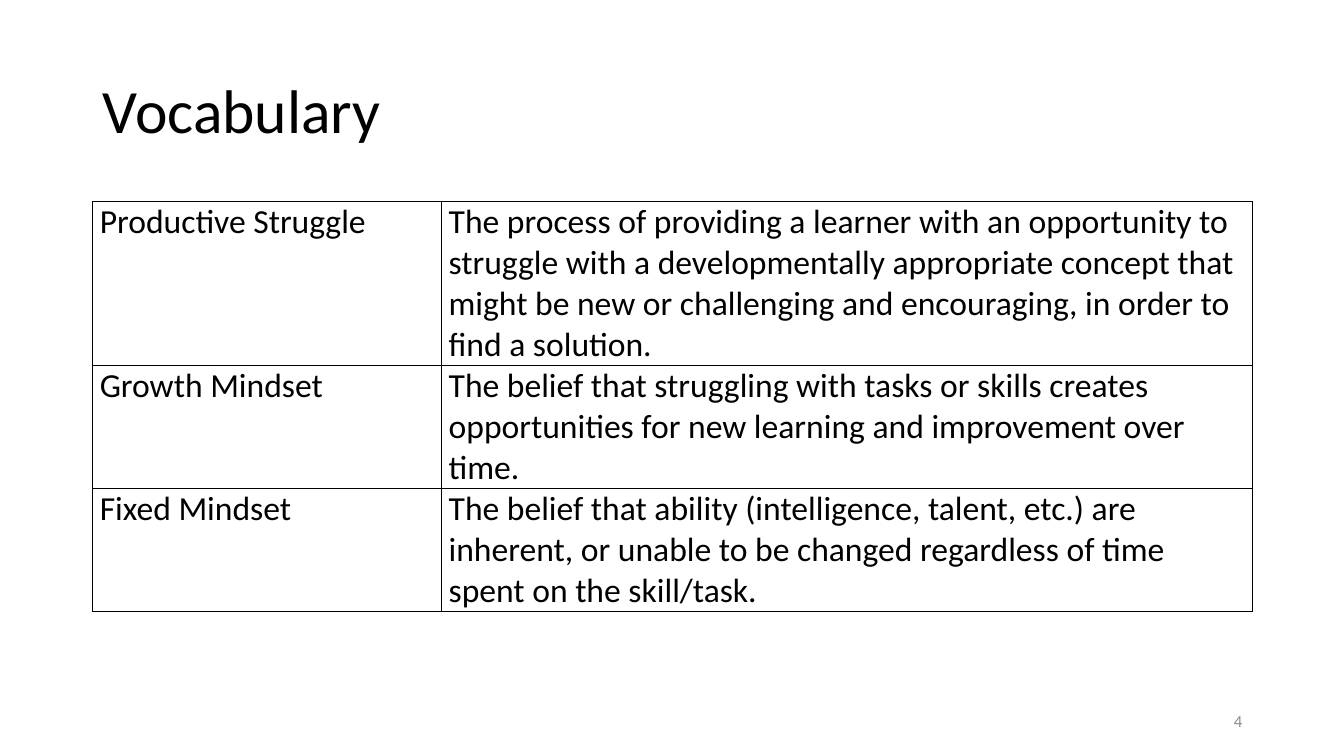
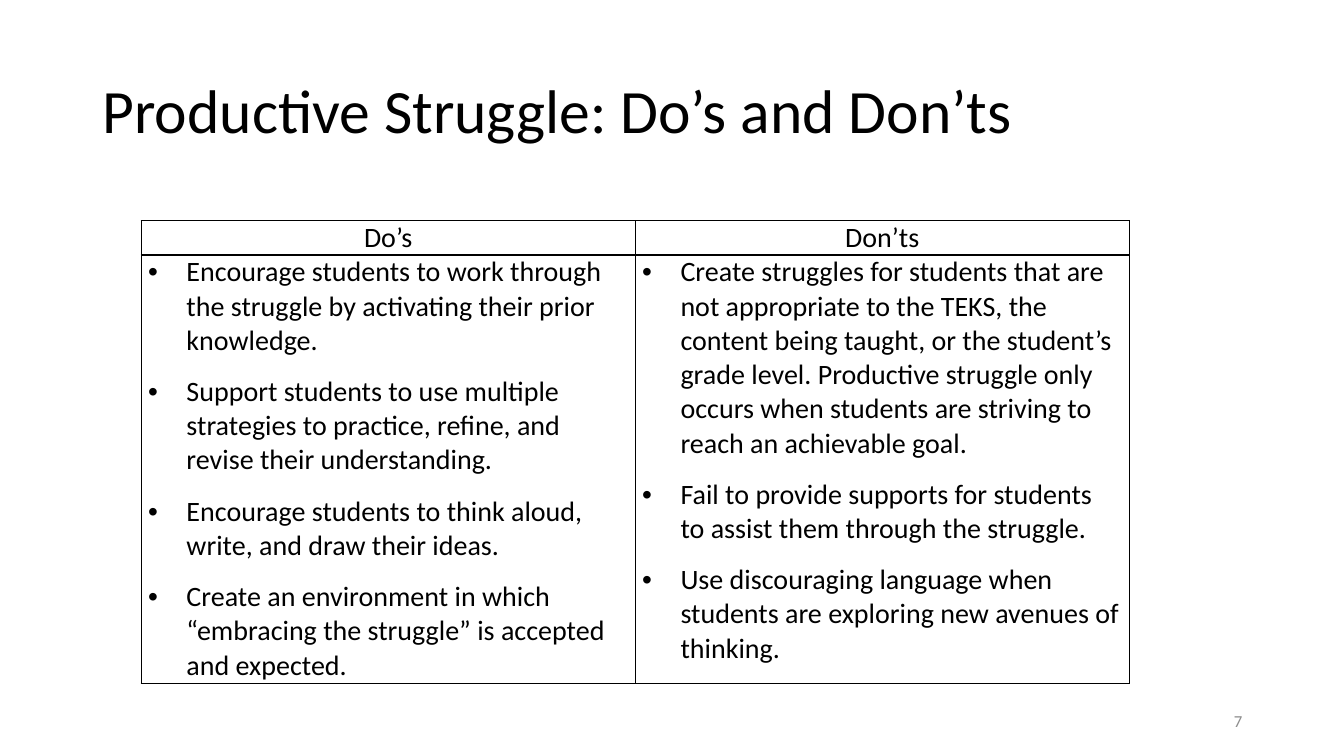
"""Build two slides on productive struggle, each a title, a bordered table and a page number."""
from dataclasses import dataclass

from lxml.etree import SubElement
from pptx import Presentation
from pptx.dml.color import RGBColor
from pptx.enum.text import MSO_ANCHOR, PP_ALIGN
from pptx.oxml.ns import qn
from pptx.util import Inches, Pt


@dataclass(frozen=True)
class Theme:
    font: str = "Calibri"
    ink: str = "000000"
    muted: str = "8C8C8C"
    title_size: int = 44
    number_size: int = 12
    border_width: int = 1
    paragraph_gap: int = 6
    cell_inset: float = 0.07
    bullet_indent: float = 0.38


THEME = Theme()
TITLE_BOX = (0.92, 0.4, 11.5, 1.45)
NUMBER_BOX = (9.42, 6.95, 3, 0.4)

SLIDES = [
    {
        "title": "Vocabulary",
        "number": "4",
        "origin": (0.92, 2),
        "columns": [3.46, 8.04],
        "row_heights": [1.63, 1.22, 1.22],
        "size": 24,
        "has_header": False,
        "rows": [
            ["Productive Struggle",
             "The process of providing a learner with an opportunity to struggle with a "
             "developmentally appropriate concept that might be new or challenging and "
             "encouraging, in order to find a solution."],
            ["Growth Mindset",
             "The belief that struggling with tasks or skills creates opportunities for "
             "new learning and improvement over time."],
            ["Fixed Mindset",
             "The belief that ability (intelligence, talent, etc.) are inherent, or unable "
             "to be changed regardless of time spent on the skill/task."],
        ],
    },
    {
        "title": "Productive Struggle: Do’s and Don’ts",
        "number": "7",
        "origin": (1.4, 2.19),
        "columns": [4.9, 4.9],
        "row_heights": [0.34, 4.25],
        "size": 20,
        "has_header": True,
        "rows": [
            ["Do’s", "Don’ts"],
            [
                ["Encourage students to work through the struggle by activating their "
                 "prior knowledge.",
                 "Support students to use multiple strategies to practice, refine, and "
                 "revise their understanding.",
                 "Encourage students to think aloud, write, and draw their ideas.",
                 "Create an environment in which “embracing the struggle” is accepted "
                 "and expected."],
                ["Create struggles for students that are not appropriate to the TEKS, the "
                 "content being taught, or the student’s grade level. Productive struggle "
                 "only occurs when students are striving to reach an achievable goal.",
                 "Fail to provide supports for students to assist them through the struggle.",
                 "Use discouraging language when students are exploring new avenues of "
                 "thinking."],
            ],
        ],
    },
]


def format_runs(paragraph, size, color):
    for run in paragraph.runs:
        run.font.name = THEME.font
        run.font.size = Pt(size)
        run.font.color.rgb = RGBColor.from_string(color)


def add_text(slide, box, text, size, color, alignment=PP_ALIGN.LEFT, line_spacing=1.0):
    shape = slide.shapes.add_textbox(*map(Inches, box))
    text_frame = shape.text_frame
    text_frame.word_wrap = True
    text_frame.vertical_anchor = MSO_ANCHOR.MIDDLE
    text_frame.text = text
    paragraph = text_frame.paragraphs[0]
    paragraph.alignment = alignment
    paragraph.line_spacing = line_spacing
    format_runs(paragraph, size, color)


def add_bullet(paragraph):
    properties = paragraph._p.get_or_add_pPr()
    indent = Inches(THEME.bullet_indent)
    properties.set("marL", str(indent))
    properties.set("indent", str(-indent))
    SubElement(properties, qn("a:buFont"), typeface="Arial")
    SubElement(properties, qn("a:buChar"), char="•")


def add_borders(cell):
    properties = cell._tc.get_or_add_tcPr()
    for index, side in enumerate(("lnL", "lnR", "lnT", "lnB")):
        line = properties.makeelement(qn(f"a:{side}"), {"w": str(Pt(THEME.border_width))})
        fill = SubElement(line, qn("a:solidFill"))
        SubElement(fill, qn("a:srgbClr"), val=THEME.ink)
        properties.insert(index, line)


def fill_cell(cell, content, size, alignment):
    cell.fill.background()
    add_borders(cell)
    cell.margin_left = cell.margin_right = Inches(THEME.cell_inset)
    cell.margin_top = cell.margin_bottom = 0
    bulleted = isinstance(content, list)
    cell.text_frame.text = "\n".join(content) if bulleted else content
    for index, paragraph in enumerate(cell.text_frame.paragraphs):
        if bulleted:
            add_bullet(paragraph)
        paragraph.alignment = alignment
        paragraph.space_before = Pt(THEME.paragraph_gap if index else 0)
        paragraph.space_after = Pt(THEME.paragraph_gap)
        format_runs(paragraph, size, THEME.ink)


def add_content_table(slide, content):
    columns, heights = content["columns"], content["row_heights"]
    box = (*content["origin"], sum(columns), sum(heights))
    table = slide.shapes.add_table(len(heights), len(columns), *map(Inches, box)).table
    table.first_row = content["has_header"]
    table.horz_banding = False
    for column, width in zip(table.columns, columns):
        column.width = Inches(width)
    for row_index, (row, height) in enumerate(zip(table.rows, heights)):
        row.height = Inches(height)
        is_header = content["has_header"] and row_index == 0
        alignment = PP_ALIGN.CENTER if is_header else PP_ALIGN.LEFT
        for cell, value in zip(row.cells, content["rows"][row_index]):
            fill_cell(cell, value, content["size"], alignment)
            if is_header:
                for run in cell.text_frame.paragraphs[0].runs:
                    run.font.bold = False


def main():
    presentation = Presentation()
    presentation.slide_width = Inches(13.33)
    presentation.slide_height = Inches(7.5)
    for content in SLIDES:
        slide = presentation.slides.add_slide(presentation.slide_layouts[6])
        add_text(slide, TITLE_BOX, content["title"], THEME.title_size, THEME.ink,
                 line_spacing=0.9)
        add_content_table(slide, content)
        add_text(slide, NUMBER_BOX, content["number"], THEME.number_size, THEME.muted,
                 PP_ALIGN.RIGHT)
    presentation.save("out.pptx")


if __name__ == "__main__":
    main()
